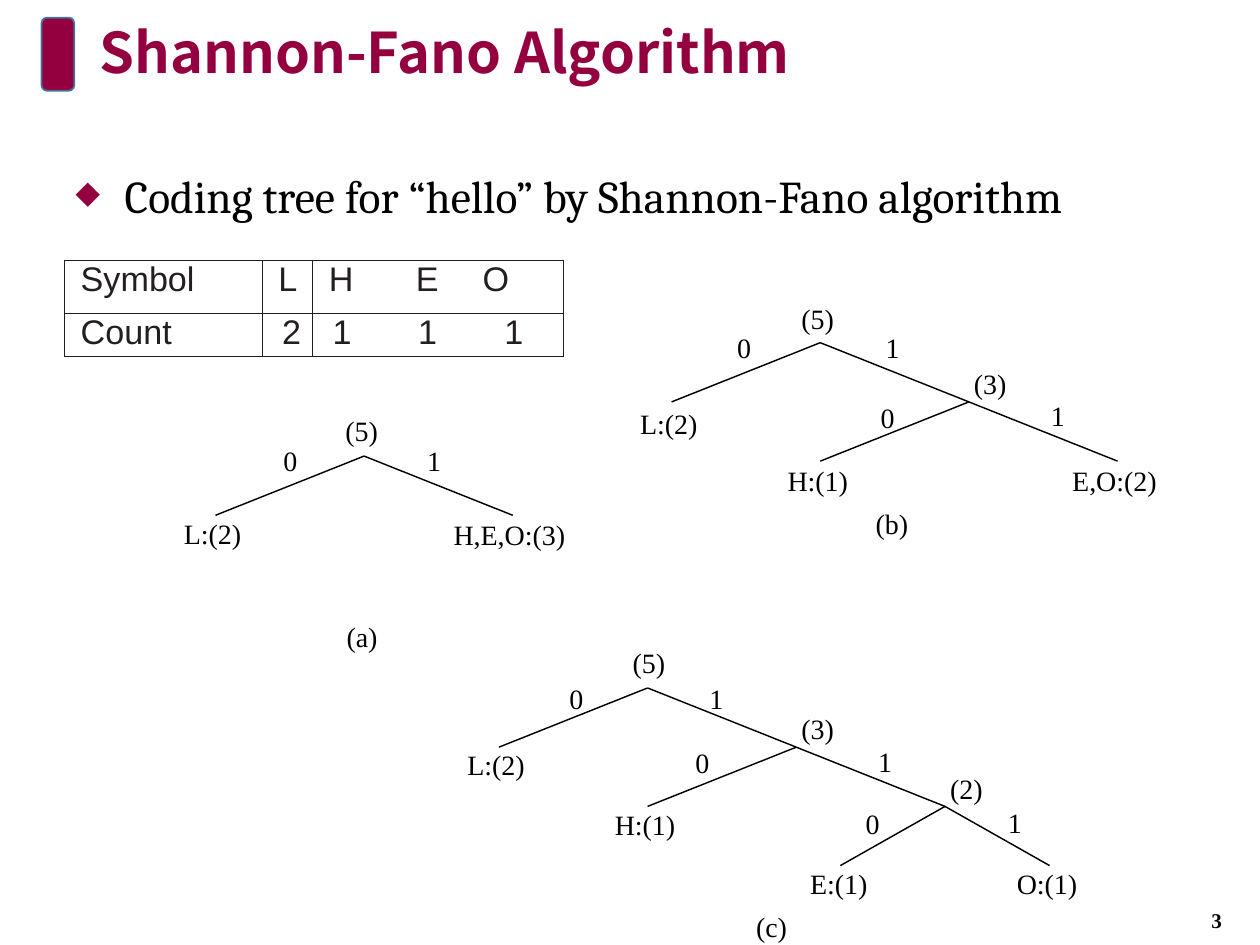
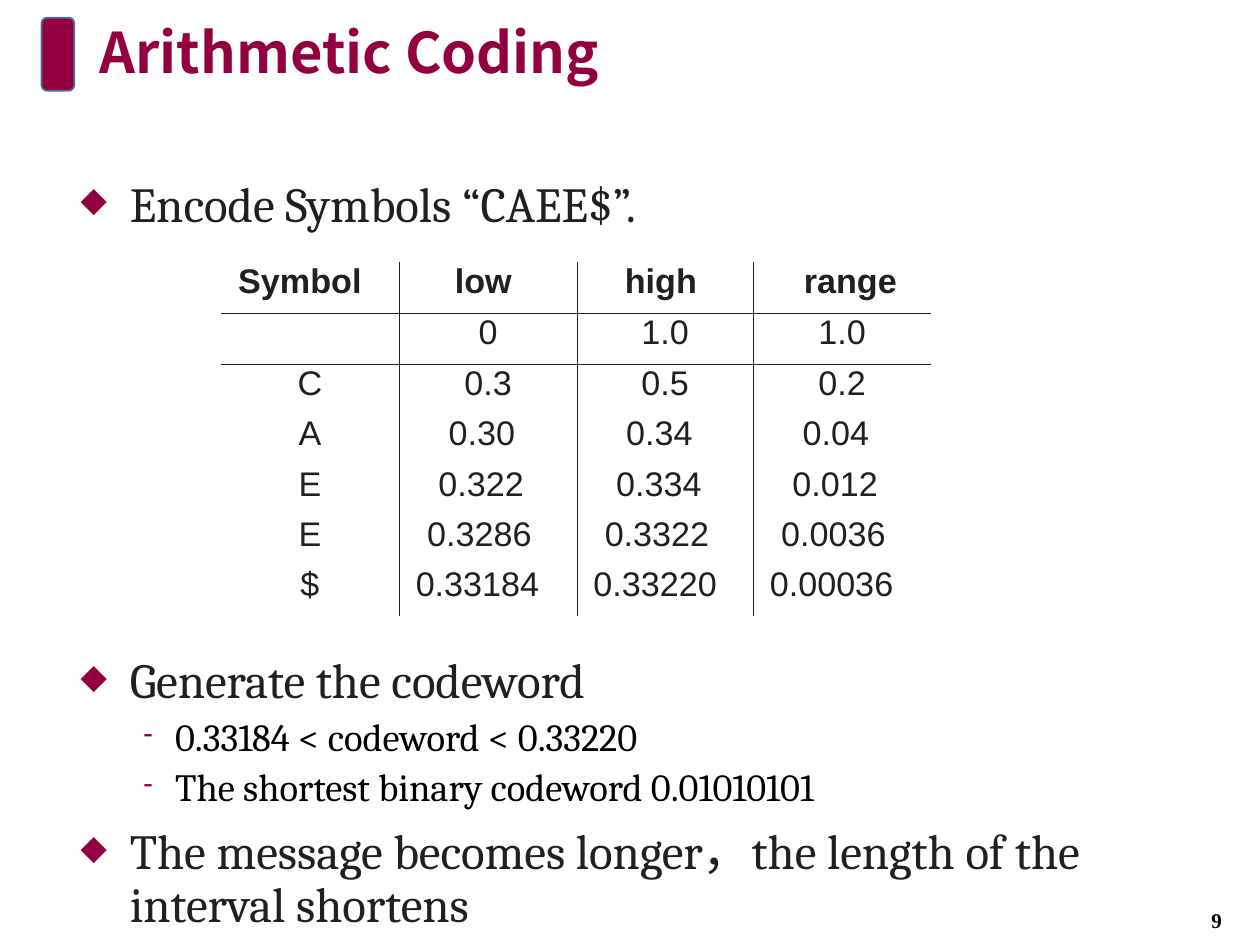
"""Build two slides on Shannon-Fano and arithmetic coding."""
import lxml.etree
import pptx
import pptx.dml.color
import pptx.enum.shapes
import pptx.enum.text
import pptx.oxml.ns
import pptx.util

PX = 9144
WINE, INK, BLACK, RULE, EDGE = "94003F", "231F20", "000000", "221E1F", "43739E"
hue = pptx.dml.color.RGBColor.from_string
qn = pptx.oxml.ns.qn
sub = lxml.etree.SubElement
Pt = pptx.util.Pt
MID = pptx.enum.text.MSO_ANCHOR.MIDDLE
TOP = pptx.enum.text.MSO_ANCHOR.TOP
LEFT = pptx.enum.text.PP_ALIGN.LEFT
CENTER = pptx.enum.text.PP_ALIGN.CENTER
HEAD = {"name": "Noto Sans CJK SC", "size": Pt(32), "bold": True}
FOOT = {"name": "Times New Roman", "size": Pt(12), "bold": True}
NODE = {"name": "Times New Roman", "size": Pt(16)}
CELL = {"name": "Arial", "size": Pt(19.5)}
FLAT = {"margin_left": 0, "margin_right": 0, "margin_top": 0, "margin_bottom": 0}


def write(para, text, style, color, align=LEFT):
    """Add one styled run to a paragraph."""
    para.alignment = align
    run = para.add_run()
    run.text = text
    for key, value in style.items():
        setattr(run.font, key, value)
    run.font.color.rgb = hue(color)


def frame(slide, x, y, w, h, wrap=True, anchor=TOP):
    """Add a text box without insets and return its text frame."""
    area = slide.shapes.add_textbox(x * PX, y * PX, w * PX, h * PX).text_frame
    for key, value in {**FLAT, "word_wrap": wrap, "vertical_anchor": anchor}.items():
        setattr(area, key, value)
    return area


deck = pptx.Presentation()
deck.slide_width, deck.slide_height = 1000 * PX, 750 * PX

pages = []
for title, number in (("Shannon-Fano Algorithm", "3"), ("Arithmetic Coding", "9")):
    page = deck.slides.add_slide(deck.slide_layouts[6])
    pages.append(page)
    tab = page.shapes.add_shape(pptx.enum.shapes.MSO_SHAPE.ROUNDED_RECTANGLE,
                                33 * PX, 14 * PX, 26 * PX, 58 * PX)
    tab.shadow.inherit = False
    tab.fill.solid()
    tab.fill.fore_color.rgb = hue(WINE)
    tab.line.color.rgb = hue(EDGE)
    tab.line.width = Pt(1)
    para = frame(page, 79, 15, 842, 58, anchor=MID).paragraphs[0]
    para.line_spacing = 0.9
    write(para, title, HEAD, WINE)
    write(frame(page, 933, 710, 65, 40, anchor=MID).paragraphs[0], number, FOOT, BLACK, CENTER)
tree, code = pages

# (mark, left margin, hanging indent, space before)
main, dash = ("◆", 39, 39, 10), ("-", 75, 25, 5)
bodies = (
    (tree, 60, 138, 880, 60, 0.9,
     ((main, "Coding tree for “hello” by Shannon-Fano algorithm", 26, BLACK),)),
    (code, 64, 138, 859, 60, 1.0, ((main, "Encode Symbols “CAEE$”.", 28, INK),)),
    (code, 64, 521, 859, 229, 0.9,
     ((main, "Generate the codeword", 28, INK),
      (dash, "0.33184 < codeword < 0.33220", 22, BLACK),
      (dash, "The shortest binary codeword 0.01010101", 22, BLACK),
      (main, "The message becomes longer，the length of the interval shortens", 28, INK))),
)
for page, x, y, w, h, lead, lines in bodies:
    area = frame(page, x, y, w, h)
    for row, ((mark, left, hang, gap), text, size, color) in enumerate(lines):
        para = area.add_paragraph() if row else area.paragraphs[0]
        form = para._p.get_or_add_pPr()
        form.set("marL", str(left * PX))
        form.set("indent", str(-hang * PX))
        sub(sub(form, qn("a:buClr")), qn("a:srgbClr"), val=WINE)
        sub(form, qn("a:buSzPct"), val="70000")
        sub(form, qn("a:buChar"), char=mark)
        para.line_spacing = lead
        if row:
            para.space_before = Pt(gap)
        write(para, text, {"name": "Cambria", "size": Pt(size)}, color)

forks = ((289, 362, 118), (651, 272, 118), (769, 319, 118),
         (514, 546, 118), (632, 593, 118), (750, 640, 83))
for x, y, reach in forks:
    for side in (-1, 1):
        limb = tree.shapes.add_connector(
            pptx.enum.shapes.MSO_CONNECTOR.STRAIGHT,
            x * PX, y * PX, (x + side * reach) * PX, (y + 47) * PX)
        limb.line.color.rgb = hue(BLACK)
        limb.line.width = Pt(0.82)
        sub(limb._element.spPr, qn("a:effectLst"))

labels = (
    ("(5)", 274, 328, 29), ("0", 225, 352, 14), ("1", 339, 352, 14),
    ("L:(2)", 146, 410, 50), ("H,E,O:(3)", 360, 411, 94), ("(a)", 275, 492, 28),
    ("(5)", 636, 239, 29), ("0", 585, 262, 14), ("1", 703, 262, 14),
    ("L:(2)", 508, 323, 50), ("(3)", 773, 291, 29), ("0", 699, 318, 14),
    ("1", 834, 316, 14), ("H:(1)", 625, 368, 52), ("E,O:(2)", 851, 368, 72),
    ("(b)", 695, 402, 29),
    ("(5)", 502, 512, 29), ("0", 452, 541, 14), ("1", 563, 541, 14),
    ("L:(2)", 371, 593, 50), ("(3)", 636, 565, 29), ("0", 552, 592, 14),
    ("1", 697, 591, 14), ("H:(1)", 488, 641, 52), ("(2)", 754, 612, 29),
    ("0", 687, 640, 14), ("1", 800, 639, 14), ("E:(1)", 643, 688, 50),
    ("O:(1)", 807, 688, 52), ("(c)", 600, 722, 28),
)
for text, x, y, w in labels:
    write(frame(tree, x, y, w, 28, wrap=False).paragraphs[0], text, NODE, BLACK)

# Cells are (text, indent); an indent of None centres the text.
counts = (
    (("Symbol", 13), ("L", 13), ("H", 13), ("E", 14), ("O", 14)),
    (("Count", 13), ("2", 16), ("1", 16), ("1", 16), ("1", None)),
)
steps = [
    (("Symbol", 14), ("low", 44), ("high", 38), ("range", 40)),
    (("", None), ("0", None), ("1.0", None), ("1.0", None)),
]
for pad, *texts in ((None, "C", "0.3", "0.5", "0.2"), (39, "A", "0.30", "0.34", "0.04"),
                    (31, "E", "0.322", "0.334", "0.012"),
                    (22, "E", "0.3286", "0.3322", "0.0036"),
                    (13, "$", "0.33184", "0.33220", "0.00036")):
    steps.append([(text, pad if col else None) for col, text in enumerate(texts)])

grids = (
    (tree, 51, 207, (157, 40, 68, 53, 78), (42, 34), counts, (0, 1, 2, 5), (0, 1, 2), False),
    (code, 175, 208, (142, 141, 140, 141), (41,) + (40,) * 6, steps, (1, 2, 3), (1, 2), True),
)
for page, x, y, wide, high, rows, cuts, bars, bold in grids:
    grid = page.shapes.add_table(len(high), len(wide), x * PX, y * PX,
                                 sum(wide) * PX, sum(high) * PX).table
    grid.first_row = grid.horz_banding = False
    for col, w in enumerate(wide):
        grid.columns[col].width = w * PX
    for row, h in enumerate(high):
        grid.rows[row].height = h * PX
        for col, (text, pad) in enumerate(rows[row]):
            cell = grid.cell(row, col)
            for key, value in FLAT.items():
                setattr(cell, key, value)
            sides = {"L": col in cuts, "R": col + 1 in cuts,
                     "T": row in bars, "B": row + 1 in bars}
            for side, drawn in sides.items():
                line = sub(cell._tc.get_or_add_tcPr(), qn("a:ln" + side), w=str(Pt(0.6)))
                if drawn:
                    sub(sub(line, qn("a:solidFill")), qn("a:srgbClr"), val=RULE)
                else:
                    sub(line, qn("a:noFill"))
            cell.fill.background()
            if not text:
                continue
            para = cell.text_frame.paragraphs[0]
            para._p.get_or_add_pPr().set("marL", str((pad or 0) * PX))
            write(para, text, {**CELL, "bold": bold and row == 0}, INK,
                  CENTER if pad is None else LEFT)

deck.save("out.pptx")
